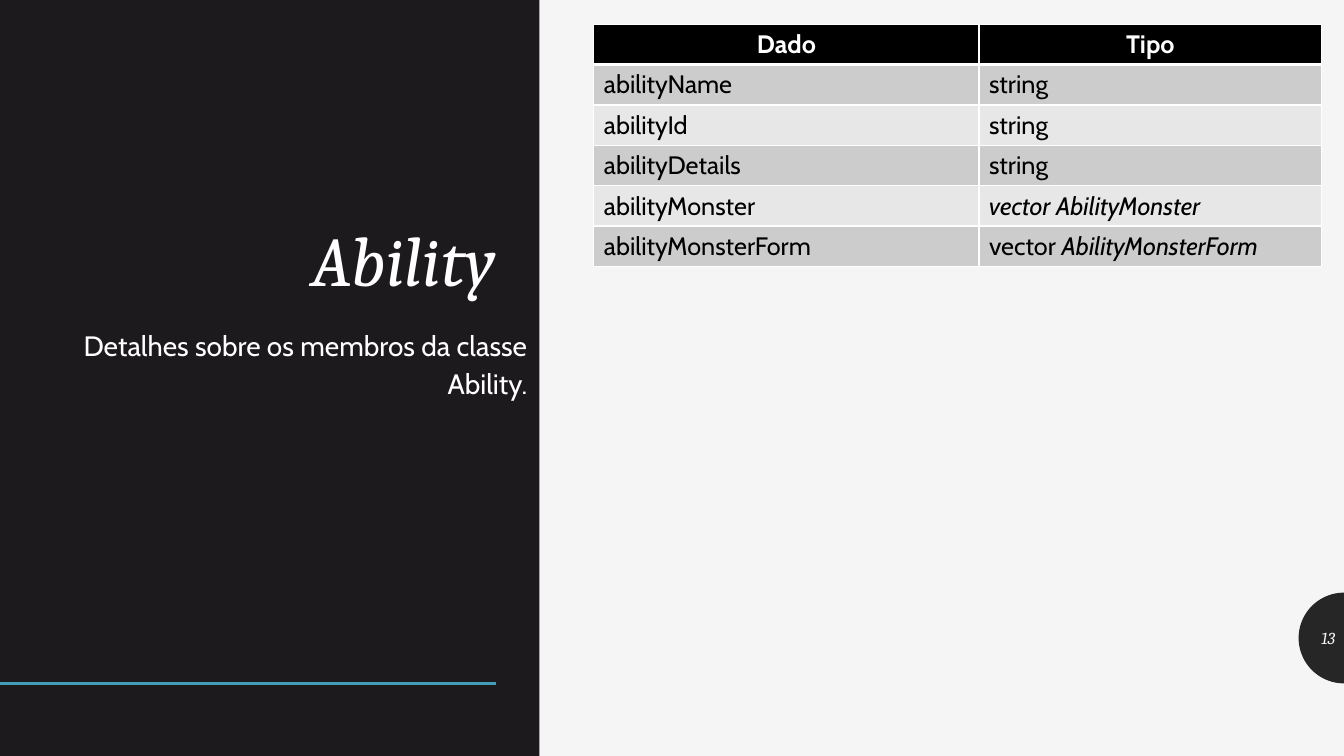
import math
from dataclasses import dataclass

from lxml import etree
from pptx import Presentation
from pptx import util as u
from pptx.dml import color
from pptx.enum import shapes, text
from pptx.oxml import ns

COLORS = {
    "page": "F5F5F5",
    "panel": "1D1A1D",
    "badge": "262626",
    "accent": "439EB7",
    "white": "FFFFFF",
    "black": "000000",
    "odd_row": "CCCCCC",
    "even_row": "E7E7E7",
}
WIDTH, HEIGHT = 13.33, 7.5
BADGE_RADIUS, BADGE_MIDDLE, BADGE_STEPS = 0.45, 6.33, 48
COLUMN_WIDTHS = (3.82, 3.4)
HEADER_HEIGHT, ROW_HEIGHT = 0.38, 0.4


@dataclass(frozen=True)
class Style:
    font: str
    size: float
    color: str
    bold: bool = False
    italic: bool = False


@dataclass(frozen=True)
class Label:
    words: str
    left: float
    top: float
    width: float
    height: float
    anchor: text.MSO_ANCHOR
    style: Style
    line_spacing: float = 1.0
    space_before: float = 0


@dataclass(frozen=True)
class Member:
    name: str
    kind: tuple[str, ...]
    italics: tuple[bool, ...] = (False,)


LABELS = (
    Label("Ability", 0.83, 0.61, 4.19, 2.43, text.MSO_ANCHOR.BOTTOM,
          Style("Cambria", 50, "white", italic=True), 0.9),
    Label("13", 12.89, 6.13, 0.45, 0.4, text.MSO_ANCHOR.MIDDLE,
          Style("Cambria", 12, "page", italic=True)),
    Label("Detalhes sobre os membros da classe Ability.", 0, 3.17, 5.33, 3.12,
          text.MSO_ANCHOR.TOP, Style("Cabin", 20, "white"), 1.12, 9),
)
MEMBERS = (
    Member("abilityName", ("string",)),
    Member("abilityId", ("string",)),
    Member("abilityDetails", ("string",)),
    Member("abilityMonster", ("vector AbilityMonster",), (True,)),
    Member("abilityMonsterForm", ("vector", " AbilityMonsterForm"), (False, True)),
)


def rgb(name: str) -> color.RGBColor:
    return color.RGBColor.from_string(COLORS[name])


def format_span(span, style: Style) -> None:
    span.font.name = style.font
    span.font.size = u.Pt(style.size)
    span.font.bold = style.bold
    span.font.italic = style.italic
    span.font.color.rgb = rgb(style.color)


def paint(shape, fill: str) -> None:
    shape.shadow.inherit = False
    shape.fill.solid()
    shape.fill.fore_color.rgb = rgb(fill)
    shape.line.fill.background()


def add_badge(page) -> None:
    angles = [math.pi * step / BADGE_STEPS for step in range(BADGE_STEPS + 1)]
    points = [
        (u.Inches(WIDTH - BADGE_RADIUS * math.sin(angle)),
         u.Inches(BADGE_MIDDLE - BADGE_RADIUS * math.cos(angle)))
        for angle in angles
    ]
    builder = page.shapes.build_freeform(*points[0])
    builder.add_line_segments(points[1:], close=True)
    paint(builder.convert_to_shape(), "badge")


def add_panel(page) -> None:
    panel = page.shapes.add_shape(shapes.MSO_SHAPE.RECTANGLE, 0, 0,
                                  u.Inches(5.35), u.Inches(HEIGHT))
    paint(panel, "panel")
    rule = page.shapes.add_connector(shapes.MSO_CONNECTOR.STRAIGHT, 0, u.Inches(6.78),
                                     u.Inches(4.92), u.Inches(6.78))
    rule.line.color.rgb = rgb("accent")
    rule.line.width = u.Pt(2)
    etree.SubElement(rule.element.spPr, ns.qn("a:effectLst"))


def add_label(page, label: Label) -> None:
    box = page.shapes.add_textbox(u.Inches(label.left), u.Inches(label.top),
                                  u.Inches(label.width), u.Inches(label.height))
    frame = box.text_frame
    frame.word_wrap = True
    frame.vertical_anchor = label.anchor
    frame.text = label.words
    para = frame.paragraphs[0]
    para.alignment = text.PP_ALIGN.RIGHT
    para.line_spacing = label.line_spacing
    para.space_before = u.Pt(label.space_before)
    format_span(para.runs[0], label.style)


def dress_cell(cell, fill: str, widths: dict[str, float]) -> None:
    properties = cell._tc.get_or_add_tcPr()
    for side, width in widths.items():
        border = etree.SubElement(properties, ns.qn(f"a:ln{side}"), w=str(u.Pt(width)))
        solid = etree.SubElement(border, ns.qn("a:solidFill"))
        etree.SubElement(solid, ns.qn("a:srgbClr"), val=COLORS["white"])
    cell.fill.solid()
    cell.fill.fore_color.rgb = rgb(fill)


def add_members(page) -> None:
    rows = (Member("Dado", ("Tipo",)),) + MEMBERS
    table = page.shapes.add_table(
        len(rows), len(COLUMN_WIDTHS), u.Inches(5.89), u.Inches(0.24),
        u.Inches(sum(COLUMN_WIDTHS)),
        u.Inches(HEADER_HEIGHT + ROW_HEIGHT * len(MEMBERS))).table
    for column, width in zip(table.columns, COLUMN_WIDTHS):
        column.width = u.Inches(width)
    for index, member in enumerate(rows):
        header = index == 0
        table.rows[index].height = u.Inches(HEADER_HEIGHT if header else ROW_HEIGHT)
        fill = "black" if header else "odd_row" if index % 2 else "even_row"
        widths = {"L": 1, "R": 1, "T": 3 if index == 1 else 1, "B": 3 if header else 1}
        contents = (((member.name,), (False,)), (member.kind, member.italics))
        for column, (words, italics) in enumerate(contents):
            cell = table.cell(index, column)
            dress_cell(cell, fill, widths)
            para = cell.text_frame.paragraphs[0]
            para.alignment = text.PP_ALIGN.CENTER if header else text.PP_ALIGN.LEFT
            for word, italic in zip(words, italics):
                span = para.add_run()
                span.text = word
                format_span(span, Style("Cabin", 18, "white" if header else "black",
                                        header, italic))


def main() -> None:
    deck = Presentation()
    deck.slide_width = u.Inches(WIDTH)
    deck.slide_height = u.Inches(HEIGHT)
    page = deck.slides.add_slide(deck.slide_layouts[6])
    page.background.fill.solid()
    page.background.fill.fore_color.rgb = rgb("page")
    add_badge(page)
    add_panel(page)
    for label in LABELS:
        add_label(page, label)
    add_members(page)
    deck.save("out.pptx")


if __name__ == "__main__":
    main()
